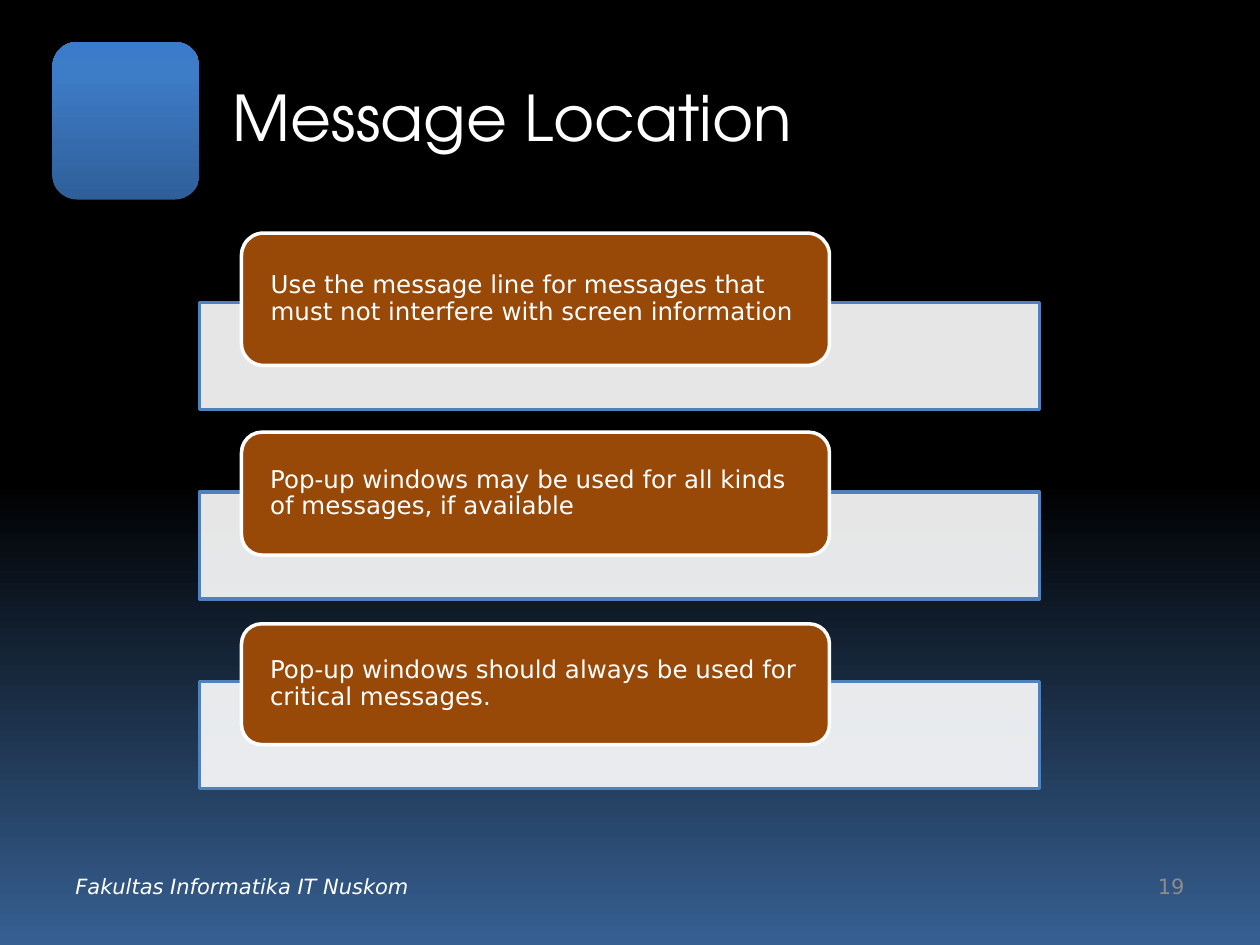
"""Build the Message Location slide: a title, three captioned bars and a footer."""
from copy import deepcopy

from lxml import etree
from pptx import Presentation
from pptx.dml.color import RGBColor
from pptx.enum.shapes import MSO_SHAPE
from pptx.enum.text import MSO_ANCHOR, PP_ALIGN
from pptx.oxml.ns import qn
from pptx.util import Inches, Pt

RECTANGLE, ROUNDED = MSO_SHAPE.RECTANGLE, MSO_SHAPE.ROUNDED_RECTANGLE
MIDDLE = MSO_ANCHOR.MIDDLE
LEFT, RIGHT = PP_ALIGN.LEFT, PP_ALIGN.RIGHT

BLACK = RGBColor(0x00, 0x00, 0x00)
WHITE = RGBColor(0xFF, 0xFF, 0xFF)
GREY = RGBColor(0x8C, 0x8C, 0x8C)
NAVY = RGBColor(0x37, 0x60, 0x92)
BLUE = RGBColor(0x4F, 0x81, 0xBD)
BROWN = RGBColor(0x98, 0x48, 0x07)
BADGE_DARK = RGBColor(0x2F, 0x5F, 0x99)
BADGE_MID = RGBColor(0x3D, 0x7C, 0xC7)
BADGE_LIGHT = RGBColor(0x3A, 0x7C, 0xCB)

BODY_FONT, TITLE_FONT = "DejaVu Sans", "TeX Gyre Adventor"

deck = Presentation()
deck.slide_width, deck.slide_height = Inches(10), Inches(7.5)
UNIT = deck.slide_width / 120
page = deck.slides.add_slide(deck.slide_layouts[6])


def grid(*counts):
    return [round(count * UNIT) for count in counts]


def write(box, text, size, font=BODY_FONT, color=WHITE, align=LEFT):
    frame = box.text_frame
    frame.word_wrap = True
    frame.vertical_anchor = MIDDLE
    para = frame.paragraphs[0]
    para.alignment = align
    span = para.add_run()
    span.text = text
    span.font.size = Pt(size)
    span.font.name = font
    span.font.color.rgb = color
    return para


backdrop = page.background.fill
backdrop.gradient()
backdrop.gradient_angle = 270
for stop, position, color in zip(backdrop.gradient_stops, (0.51, 1), (BLACK, NAVY)):
    stop.position, stop.color.rgb = position, color

badge = page.shapes.add_shape(ROUNDED, *grid(5, 4, 14, 15))
badge.shadow.inherit = False
badge.line.fill.background()
badge.fill.gradient()
badge.fill.gradient_angle = 90
stop_list = next(badge.element.iter(qn("a:gsLst")))
stop_list.append(deepcopy(stop_list[-1]))
badge_colors = (BADGE_DARK, BADGE_MID, BADGE_LIGHT)
for stop, position, color in zip(badge.fill.gradient_stops, (0, 0.8, 1), badge_colors):
    stop.position, stop.color.rgb = position, color

title = page.shapes.add_textbox(*grid(21, 3.6, 93, 15))
write(title, "Message Location", 36, TITLE_FONT)

messages = (
    ("Use the message line for messages that must not interfere with screen information", 12.6),
    ("Pop-up windows may be used for all kinds of messages, if available", 11.7),
    ("Pop-up windows should always be used for critical messages.", 11.5),
)
for index, (message, height) in enumerate(messages):
    top = 28.8 + 18.06 * index
    bar = page.shapes.add_shape(RECTANGLE, *grid(19, top, 80, 10.2))
    caption = page.shapes.add_shape(ROUNDED, *grid(23, top + 6 - height, 56, height))
    for box, fill, line in ((bar, WHITE, BLUE), (caption, BROWN, WHITE)):
        box.shadow.inherit = False
        box.fill.solid()
        box.fill.fore_color.rgb = fill
        box.line.color.rgb = line
        box.line.width = Pt(2)
    bar_color = next(bar.element.spPr.iter(qn("a:srgbClr")))
    etree.SubElement(bar_color, qn("a:alpha")).set("val", "90000")

    frame = caption.text_frame
    frame.margin_left = frame.margin_right = Inches(0.18)
    frame.margin_top = frame.margin_bottom = 0
    para = write(caption, message, 14)
    para.line_spacing = 0.9

footer = page.shapes.add_textbox(*grid(6, 82, 38, 4.8))
write(footer, "Fakultas Informatika IT Nuskom", 12).runs[0].font.italic = True
page_number = page.shapes.add_textbox(*grid(86, 82, 28, 4.8))
write(page_number, "19", 12, color=GREY, align=RIGHT)

deck.save("out.pptx")
